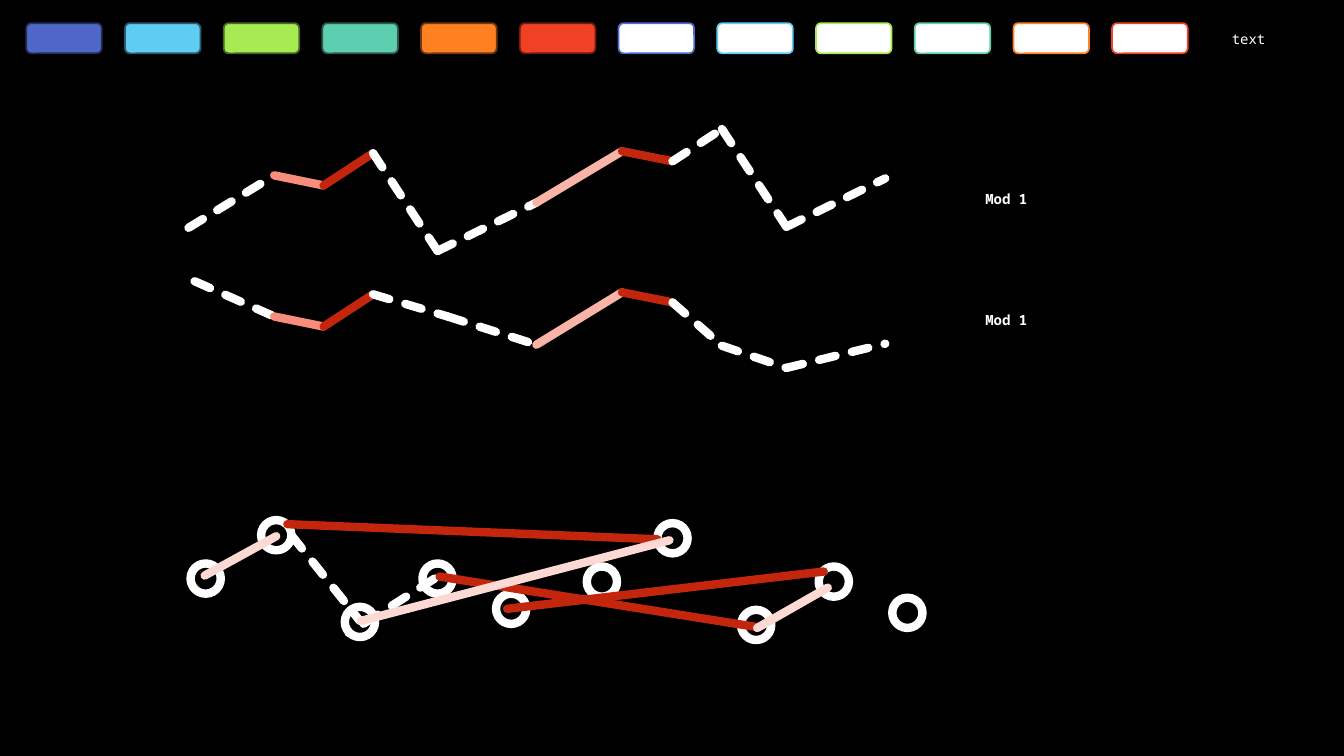
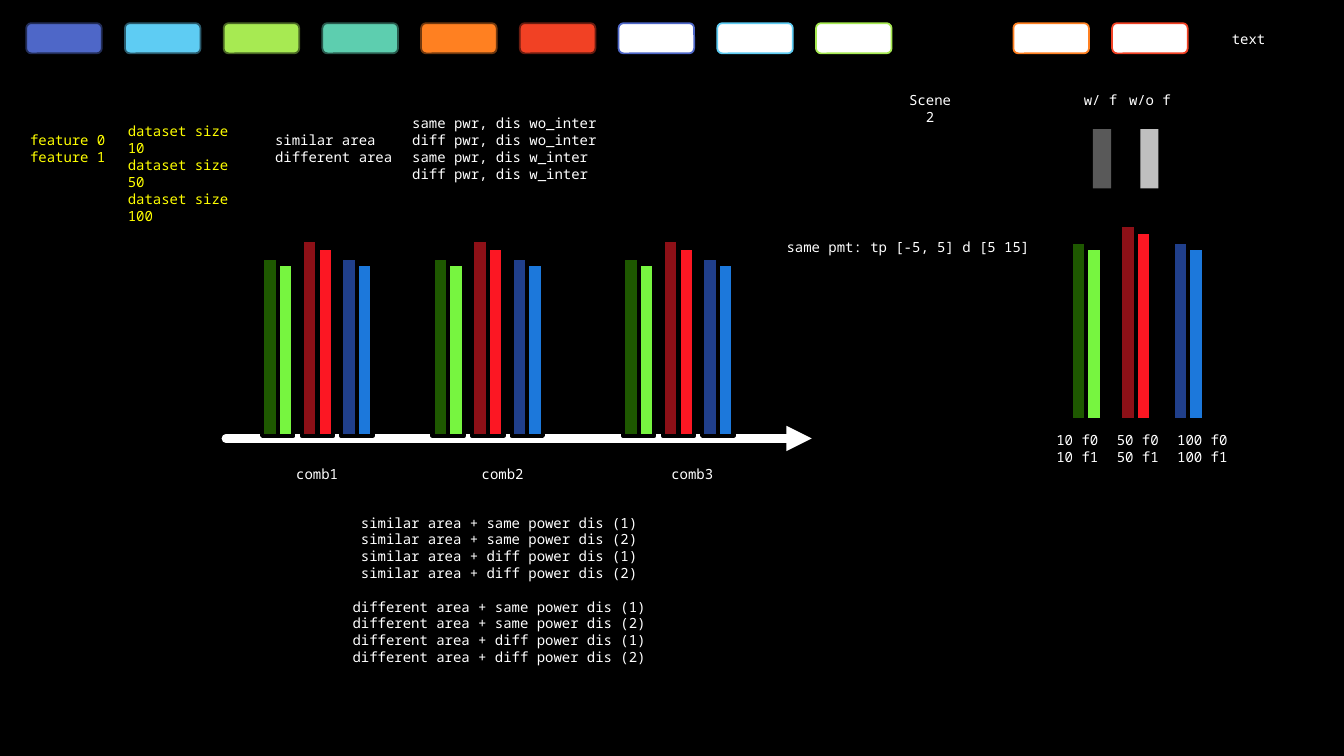
from dataclasses import dataclass
from itertools import pairwise
from typing import NamedTuple

from lxml.etree import SubElement
from pptx import Presentation
from pptx.dml.color import RGBColor as Rgb
from pptx.enum.dml import MSO_LINE as Dash
from pptx.enum.shapes import MSO_CONNECTOR as Wire, MSO_SHAPE as Form
from pptx.enum.text import MSO_AUTO_SIZE as Fit, PP_ALIGN as Align
from pptx.oxml.ns import qn
from pptx.presentation import Presentation as Deck
from pptx.slide import Slide
from pptx.util import Inches, Length, Pt


@dataclass(frozen=True)
class Theme:
    font: str = "Noto Sans Mono"
    size: float = 10
    black: str = "000000"
    white: str = "FFFFFF"
    yellow: str = "FFFF00"
    red: str = "C3260C"
    coral: str = "F78D7C"
    rose: str = "F9B3A7"
    blush: str = "FCD9D3"
    dark: str = "595959"
    light: str = "BFBFBF"
    thick: float = 6
    edge: float = 3
    thin: float = 1.25


T = Theme()

# The grid has 133.3 columns and 75 rows, each a tenth of an inch
COLS, ROWS = 133.3, 75


def cell(n: float) -> Length:
    return Inches(n / 10)


class Point(NamedTuple):
    x: float
    y: float


class Box(NamedTuple):
    x: float
    y: float
    w: float
    h: float


class Stroke(NamedTuple):
    color: str
    dash: bool = False
    arrow: bool = False


class Link(NamedTuple):
    start: Point
    end: Point
    pen: Stroke


class Label(NamedTuple):
    text: str
    box: Box
    color: str = T.white
    align: Align = Align.CENTER
    bold: bool = False


class Pair(NamedTuple):
    dark: str
    light: str
    tall: float
    low: float


class Group(NamedTuple):
    x: float
    base: float
    steps: tuple[float, ...] = (0, 3.95, 7.85)


# Shared palette row: fill and outline of each solid swatch
PALETTE = (
    ("4E67C8", "222D58"), ("5ECCF3", "29596B"), ("A7EA52", "496724"),
    ("5DCEAF", "295A4D"), ("FF8021", "70380E"), ("F14124", "6A1C10"),
)
FIRST, PITCH = 2.6, 107.7 / 11

# Pens
DASHED = Stroke(T.white, dash=True)
CORAL, ROSE = Stroke(T.coral), Stroke(T.rose)
RED, BLUSH = Stroke(T.red), Stroke(T.blush)

# Tracks: both follow the same run of pens
PENS = (DASHED, CORAL, RED, DASHED, DASHED, ROSE, RED, DASHED, DASHED, DASHED)
TRACKS = (
    (Point(18.7, 22.6), Point(27.2, 17.4), Point(32.1, 18.4), Point(37, 15.2),
     Point(43.4, 24.9), Point(53.2, 20.1), Point(61.7, 15), Point(66.7, 16),
     Point(71.6, 12.8), Point(78, 22.5), Point(87.8, 17.7)),
    (Point(19.3, 27.9), Point(27.2, 31.4), Point(32.1, 32.4), Point(37, 29.2),
     Point(44.4, 31.4), Point(53.2, 34.2), Point(61.7, 29), Point(66.7, 30),
     Point(71.6, 34.3), Point(78, 36.5), Point(87.8, 34.1)),
)
MODS = tuple(Label("Mod 1", Box(94.2, y, 11.2, 2.7), bold=True) for y in (18.4, 30.4))

# Network of rings and links
RINGS = (
    Point(18.9, 55.9), Point(25.9, 51.6), Point(34.2, 60.2), Point(41.9, 55.9),
    Point(49.2, 58.9), Point(58.2, 56.2), Point(65.2, 51.9), Point(73.5, 60.5),
    Point(81.2, 56.2), Point(88.5, 59.3),
)
LINKS = (
    Link(Point(28.9, 53.1), Point(35.7, 61.6), DASHED),
    Link(Point(43.1, 57.4), Point(34.6, 62.8), DASHED),
    Link(Point(28.5, 52), Point(65.2, 53.5), RED),
    Link(Point(43.6, 57.2), Point(75, 62.2), RED),
    Link(Point(50.3, 60.4), Point(81.7, 56.7), RED),
    Link(Point(20.3, 57.1), Point(27.4, 53.2), BLUSH),
    Link(Point(75.1, 62.3), Point(82.1, 58.3), BLUSH),
    Link(Point(66.4, 53.6), Point(35.8, 61.6), BLUSH),
)

# Bars: three pairs in each group
PAIRS = (
    Pair("1E5800", "77F540", 17.7, 17.1),
    Pair("8D1017", "FC1723", 19.4, 18.7),
    Pair("203F8B", "1C78DB", 17.7, 17.1),
)
BAR = 1.55
GROUPS = (
    Group(106.2, 41.7, (0, 4.9, 10.1)),
    Group(26, 43.25), Group(42.9, 43.25), Group(61.8, 43.25),
)
AXIS = Link(Point(22.4, 43.5), Point(80.5, 43.5), Stroke(T.white, arrow=True))
KEYS = ((Box(108.4, 12.8, 1.8, 5.9), T.dark), (Box(113.1, 12.8, 1.8, 5.9), T.light))

LABELS = (
    Label("comb1", Box(27.7, 45.7, 7.5, 2.7)),
    Label("comb2", Box(46.1, 45.7, 7.5, 2.7)),
    Label("comb3", Box(64.9, 45.7, 7.5, 2.7)),
    Label("w/ f", Box(105.4, 8.6, 7.5, 2.7)),
    Label("w/o f", Box(110.3, 8.6, 7.5, 2.7)),
    Label("Scene 2", Box(88.5, 8.6, 7.5, 2.7)),
    Label("similar area\ndifferent area", Box(26.3, 12.6, 14.3, 4.4), align=Align.LEFT),
    Label("dataset size 10\ndataset size 50\ndataset size 100",
          Box(11.7, 11.7, 14.3, 6.1), T.yellow, Align.LEFT),
    Label("feature 0\nfeature 1", Box(2, 12.6, 10.4, 4.4), T.yellow, Align.LEFT),
    Label("same pwr, dis wo_inter\ndiff pwr, dis wo_inter\n"
          "same pwr, dis w_inter\ndiff pwr, dis w_inter",
          Box(39.9, 10.9, 23.1, 7.7), align=Align.LEFT),
    Label("10 f0\n10 f1", Box(103.1, 42.3, 7.5, 4.4)),
    Label("50 f0\n50 f1", Box(109.1, 42.3, 7.5, 4.4)),
    Label("100 f0\n100 f1", Box(115.5, 42.3, 7.5, 4.4)),
    Label("same pmt: tp [-5, 5] d [5 15]", Box(76.7, 23.2, 26.7, 2.7)),
)
AREAS = Box(32.3, 50.5, 34.4, 16.2)


def draw_shape(slide: Slide, form: Form, box: Box, fill: str | None = None,
               edge: str | None = None, width: float = 0) -> None:
    shape = slide.shapes.add_shape(form, *map(cell, box))
    shape.shadow.inherit = False
    if fill:
        shape.fill.solid()
        shape.fill.fore_color.rgb = Rgb.from_string(fill)
    else:
        shape.fill.background()
    if edge:
        shape.line.color.rgb = Rgb.from_string(edge)
        shape.line.width = Pt(width)
    else:
        shape.line.fill.background()


def draw_link(slide: Slide, link: Link) -> None:
    wire = slide.shapes.add_connector(
        Wire.STRAIGHT, *map(cell, (*link.start, *link.end)))
    wire.line.color.rgb = Rgb.from_string(link.pen.color)
    wire.line.width = Pt(T.thick)
    if link.pen.dash:
        wire.line.dash_style = Dash.SQUARE_DOT
    # Round caps, arrowhead and no shadow
    props = wire.element.spPr
    line = props.find(qn("a:ln"))
    line.set("cap", "rnd")
    if link.pen.arrow:
        SubElement(line, qn("a:tailEnd")).set("type", "triangle")
    SubElement(props, qn("a:effectLst"))


def draw_label(slide: Slide, label: Label, gap: int | None = None) -> None:
    """Write one paragraph a line; a gap opens above line number gap."""
    frame = slide.shapes.add_textbox(*map(cell, label.box)).text_frame
    frame.word_wrap = True
    frame.auto_size = Fit.SHAPE_TO_FIT_TEXT
    frame.text = label.text
    for row, para in enumerate(frame.paragraphs):
        para.alignment = label.align
        para.font.name = T.font
        para.font.size = Pt(T.size)
        para.font.bold = label.bold
        para.font.color.rgb = Rgb.from_string(label.color)
        if row == gap:
            para.space_before = Pt(12)


def draw_group(slide: Slide, group: Group) -> None:
    for step, pair in zip(group.steps, PAIRS):
        bars = ((pair.dark, pair.tall), (pair.light, pair.low))
        for place, (color, high) in enumerate(bars):
            box = Box(group.x + step + place * BAR, group.base - high, BAR, high)
            draw_shape(slide, Form.RECTANGLE, box, color, T.black, T.edge)


def add_slide(deck: Deck, skip: int | None = None) -> Slide:
    """Start a slide with the palette row, leaving out swatch number skip."""
    slide = deck.slides.add_slide(deck.slide_layouts[6])
    looks = PALETTE + tuple((T.white, fill) for fill, _ in PALETTE)
    for place, (fill, edge) in enumerate(looks):
        if place != skip:
            box = Box(FIRST + place * PITCH, 2.3, 7.5, 3)
            draw_shape(slide, Form.ROUNDED_RECTANGLE, box, fill, edge, T.thin)
    draw_label(slide, Label("text", Box(FIRST + len(looks) * PITCH, 2.5, 7.5, 2.7)))
    return slide


def build_tracks(deck: Deck) -> None:
    slide = add_slide(deck)
    for track in TRACKS:
        for (start, end), pen in zip(pairwise(track), PENS):
            draw_link(slide, Link(start, end, pen))
    for label in MODS:
        draw_label(slide, label)
    for ring in RINGS:
        draw_shape(slide, Form.OVAL, Box(*ring, 3, 3), edge=T.white, width=T.thick)
    for link in LINKS:
        draw_link(slide, link)


def build_bars(deck: Deck) -> None:
    slide = add_slide(deck, skip=9)
    draw_link(slide, AXIS)
    for box, color in KEYS:
        draw_shape(slide, Form.RECTANGLE, box, color)
    for group in GROUPS:
        draw_group(slide, group)
    for label in LABELS:
        draw_label(slide, label)
    # Every mix of area and power, the two areas set apart
    mixes = [f"{area} area + {power} power dis ({turn})"
             for area in ("similar", "different")
             for power in ("same", "diff") for turn in (1, 2)]
    draw_label(slide, Label("\n".join(mixes), AREAS), gap=4)


def main() -> None:
    deck = Presentation()
    deck.slide_width, deck.slide_height = cell(COLS), cell(ROWS)
    back = deck.slide_master.background.fill
    back.solid()
    back.fore_color.rgb = Rgb.from_string(T.black)
    build_tracks(deck)
    build_bars(deck)
    deck.save("out.pptx")


if __name__ == "__main__":
    main()
